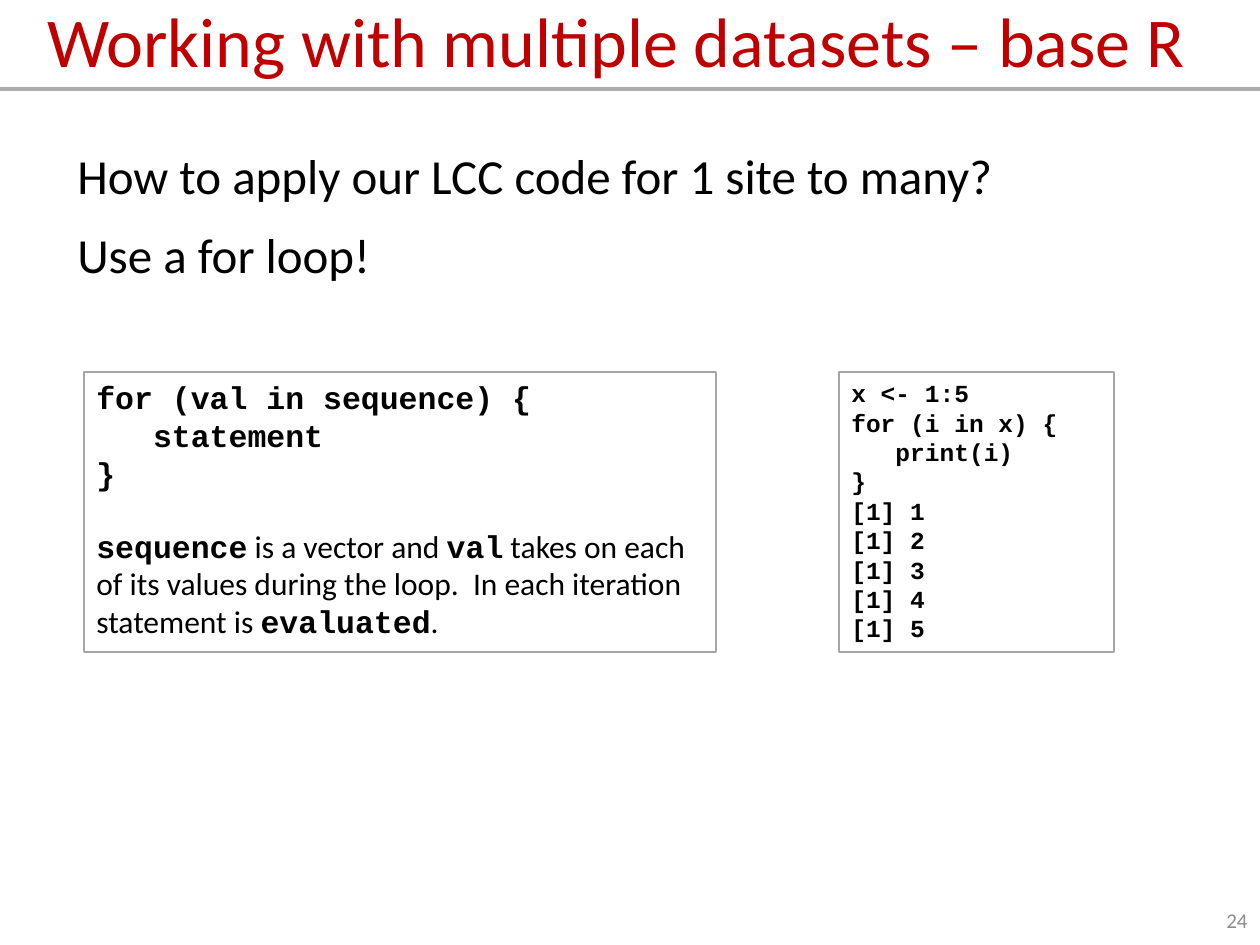
from pptx import Presentation
from pptx.dml.color import RGBColor
from pptx.enum.shapes import MSO_CONNECTOR, MSO_SHAPE
from pptx.enum.text import MSO_ANCHOR as ANCHOR, PP_ALIGN as ALIGN
from pptx.oxml.ns import qn
from pptx.util import Pt
from lxml.etree import SubElement

PX = 914400 // 126
BODY, CODE = "Calibri", "Courier New"


def color(value):
    return RGBColor.from_string(value)


def style(run, size, face=BODY, ink="000000", bold=False):
    run.font.size = Pt(size)
    run.font.name = face
    run.font.bold = bold
    run.font.color.rgb = color(ink)


deck = Presentation()
deck.slide_width, deck.slide_height = 1260 * PX, 945 * PX
slide = deck.slides.add_slide(deck.slide_layouts[6])
shapes = slide.shapes

rule = shapes.add_connector(MSO_CONNECTOR.STRAIGHT, 0, 89 * PX, 1260 * PX, 89 * PX)
rule.line.color.rgb = color("AFABAB")
rule.line.width = Pt(2)
SubElement(rule._element.spPr, qn("a:effectLst"))

texts = [
    (35, 0, 1225, 89, ["Working with multiple datasets – base R"],
     40, "C00000", ANCHOR.MIDDLE, ALIGN.LEFT, 0.9, 0),
    (65, 139, 950, 152,
     ["How to apply our LCC code for 1 site to many?", "Use a for loop!"],
     28, "000000", ANCHOR.TOP, ALIGN.LEFT, 1.0, 12),
    (976, 895, 284, 50, ["24"],
     12, "8C8C8C", ANCHOR.MIDDLE, ALIGN.RIGHT, 1.0, 0),
]
for left, top, width, height, lines, size, ink, anchor, align, spacing, after in texts:
    frame = shapes.add_textbox(left * PX, top * PX, width * PX, height * PX).text_frame
    frame.word_wrap = True
    frame.vertical_anchor = anchor
    frame.text = "\n".join(lines)
    for line in frame.paragraphs:
        line.alignment = align
        line.line_spacing = spacing
        line.space_after = Pt(after)
        style(line.runs[0], size, ink=ink)

syntax = ["for (val in sequence) {", "   statement", "}"]
example = ["x <- 1:5", "for (i in x) {", "   print(i)", "}"]
example += [f"[1] {i}" for i in range(1, 6)]

frames = []
for left, width, code, size in [(84, 632, syntax, 18), (839, 275, example, 14)]:
    panel = shapes.add_shape(MSO_SHAPE.RECTANGLE, left * PX, 372 * PX, width * PX, 280 * PX)
    panel.shadow.inherit = False
    panel.fill.background()
    panel.line.color.rgb = color("A6A6A6")
    panel.line.width = Pt(0.75)
    frame = panel.text_frame
    frame.word_wrap = True
    frame.vertical_anchor = ANCHOR.TOP
    frame.text = "\n".join(code)
    for line in frame.paragraphs:
        line.alignment = ALIGN.LEFT
        style(line.runs[0], size, CODE, bold=True)
    frames.append(frame)

explanation = frames[0].add_paragraph()
explanation.alignment = ALIGN.LEFT
explanation.space_before = Pt(20)
pieces = [
    ("sequence", True),
    (" is a vector and ", False),
    ("val", True),
    (" takes on each of its values during the loop.  In each iteration statement is ", False),
    ("evaluated", True),
    (".", False),
]
for words, is_code in pieces:
    run = explanation.add_run()
    run.text = words
    style(run, 18, CODE if is_code else BODY, bold=is_code)

deck.save("out.pptx")
